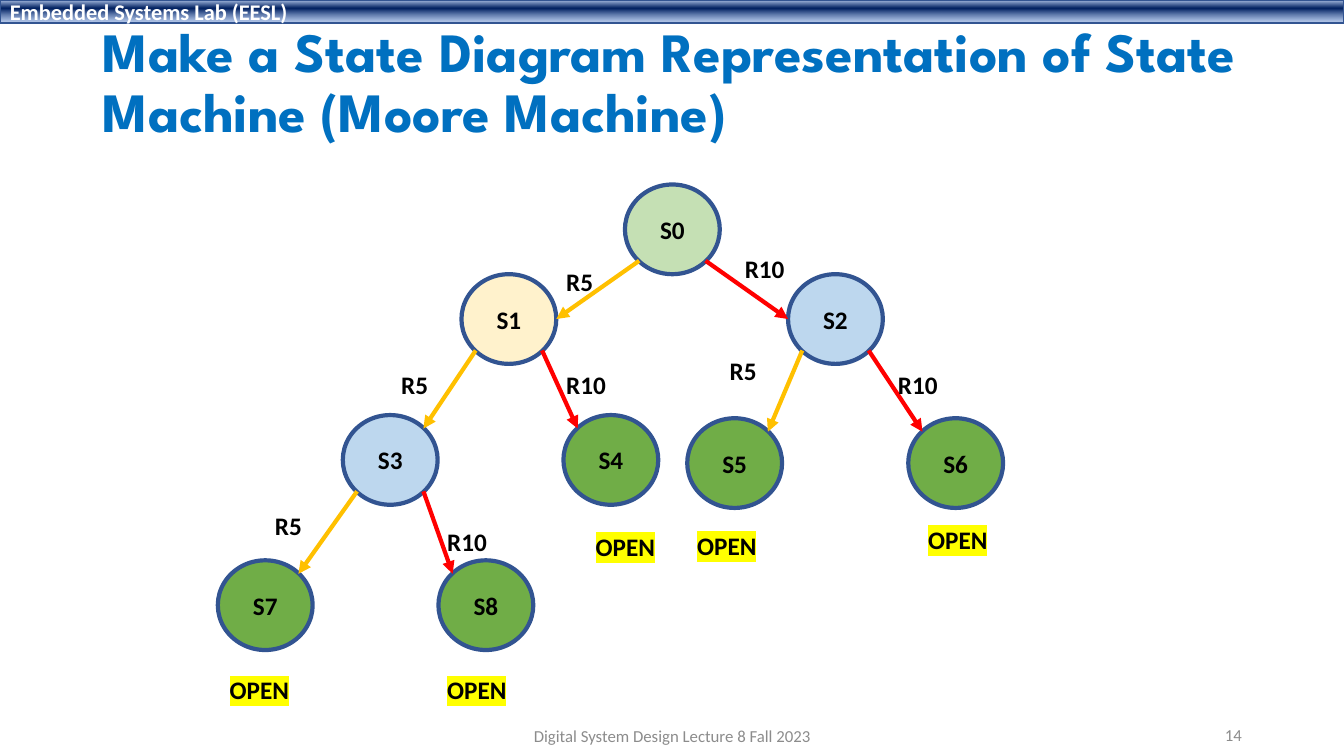
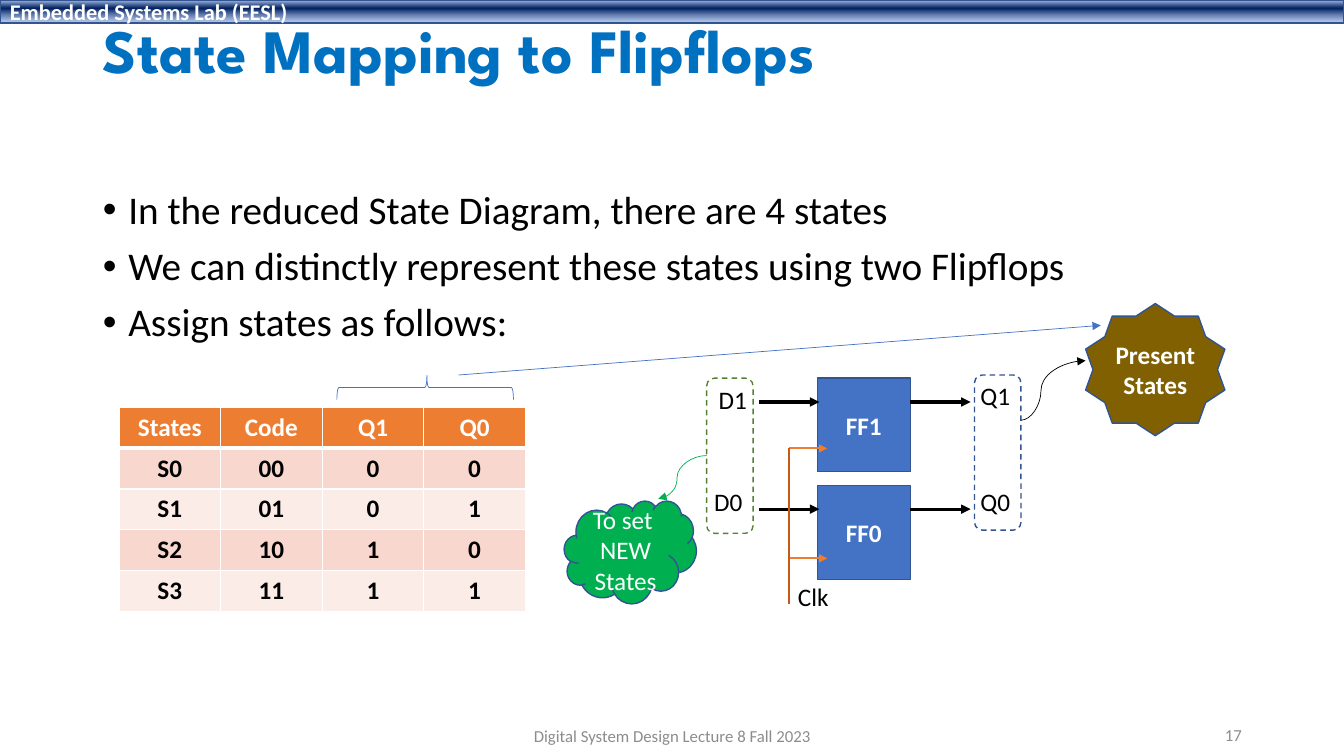
from lxml import etree
from pptx import Presentation
from pptx.dml.color import RGBColor
from pptx.enum.dml import MSO_LINE
from pptx.enum.shapes import MSO_CONNECTOR, MSO_SHAPE
from pptx.enum.text import MSO_ANCHOR, MSO_AUTO_SIZE, PP_ALIGN
from pptx.oxml.ns import qn
from pptx.util import Cm, Pt

LEFT, CENTER, RIGHT = PP_ALIGN.LEFT, PP_ALIGN.CENTER, PP_ALIGN.RIGHT
TOP, MIDDLE = MSO_ANCHOR.TOP, MSO_ANCHOR.MIDDLE
STRAIGHT, CURVE = MSO_CONNECTOR.STRAIGHT, MSO_CONNECTOR.CURVE
RECTANGLE, ROUNDED, OVAL = MSO_SHAPE.RECTANGLE, MSO_SHAPE.ROUNDED_RECTANGLE, MSO_SHAPE.OVAL
BRACE, CLOUD, STAR = MSO_SHAPE.RIGHT_BRACE, MSO_SHAPE.CLOUD, MSO_SHAPE.STAR_10_POINT
DASH = MSO_LINE.DASH
TITLE_AND_BODY, TITLE_ONLY = 1, 5
BODY_FONT, TITLE_FONT = "Calibri", "League Spartan"

COLORS = {
    "black": "000000", "white": "FFFFFF", "title": "0070C0", "footer": "8C8C8C",
    "outline": "325491", "blue": "4472C4", "orange": "ED7D31", "rust": "C55A11",
    "start": "C5E0B4", "cream": "FFF2CC", "sky": "BDD7EE", "open": "70AD47",
    "amber": "FFC000", "red": "FF0000", "highlight": "FFFF00",
    "row odd": "F8D7CE", "row even": "FCECE8",
    "inputs": "548235", "cloud": "00B050", "star": "806000",
    "band edge": "ABC0E4", "band core": "002060", "band foot": "7E9ED6",
}


def rgb(name):
    return RGBColor.from_string(COLORS[name])


def add_color(parent, name, alpha=None):
    color = etree.SubElement(parent, qn("a:srgbClr"), val=COLORS[name])
    if alpha:
        etree.SubElement(color, qn("a:alpha"), val=str(alpha * 1000))


def write(frame, text, size=18, color="black", bold=False, font=BODY_FONT, align=LEFT,
          anchor=TOP, wrap=True, spacing=None, before=0, bullet=None, highlight=None):
    """Fill a text frame, one paragraph for each line of text."""
    frame.word_wrap = wrap
    frame.auto_size = MSO_AUTO_SIZE.NONE
    frame.vertical_anchor = anchor
    for index, line in enumerate(text.split("\n")):
        para = frame.add_paragraph() if index else frame.paragraphs[0]
        para.alignment = align
        para.space_before = Pt(before if index else 0)
        if spacing:
            para.line_spacing = spacing
        if bullet:
            properties = para._p.get_or_add_pPr()
            properties.set("marL", str(Cm(0.64)))
            properties.set("indent", str(-Cm(0.64)))
            etree.SubElement(properties, qn("a:buChar"), char=bullet)
        span = para.add_run()
        span.text = line
        span.font.size, span.font.bold, span.font.name = Pt(size), bold, font
        span.font.color.rgb = rgb(color)
        if highlight:
            mark = etree.Element(qn("a:highlight"))
            add_color(mark, highlight)
            span._r.rPr.find(qn("a:latin")).addprevious(mark)


class LectureDeck:
    """Holds the lecture style and the slide being drawn."""

    def __init__(self):
        self.deck = Presentation()
        self.deck.slide_width, self.deck.slide_height = Cm(33.87), Cm(19.05)
        self.page = None

    def new_page(self, layout, title, number, size=44, height=1.96):
        first = self.page is None
        self.page = self.deck.slides.add_slide(self.deck.slide_layouts[layout])
        if first:
            self.band()
        self.placeholder(self.page.shapes.title, title, 0.38, height, size=size, color="title",
                         bold=True, font=TITLE_FONT, anchor=MIDDLE)
        self.label("Digital System Design Lecture 8 Fall 2023", 11.23, 18.03, 11.43,
                   size=12, color="footer", align=CENTER, anchor=MIDDLE, wrap=True)
        self.label(str(number), 23.93, 18.01, 7.62, size=12, color="footer",
                   align=RIGHT, anchor=MIDDLE, wrap=True)

    def band(self):
        """Draw the top band once and hand it to the master."""
        band = self.shape(RECTANGLE, 0, 0, 33.87, 0.58, text="Embedded Systems Lab (EESL)",
                          size=16, color="white", bold=True, align=LEFT)
        band.fill.gradient()
        band.fill.gradient_angle = 270
        stops = band._element.spPr.find(".//" + qn("a:gsLst"))
        for stop in list(stops):
            stops.remove(stop)
        for position, color, alpha in ((2, "band edge", None), (38, "band core", None),
                                       (93, "band foot", 64)):
            add_color(etree.SubElement(stops, qn("a:gs"), pos=str(position * 1000)), color, alpha)
        self.deck.slide_master.shapes._spTree.insert(2, band._element)

    def placeholder(self, box, text, top, height, **style):
        box.left, box.top, box.width, box.height = Cm(2.34), Cm(top), Cm(29.21), Cm(height)
        write(box.text_frame, text, spacing=0.9, **style)

    def bullets(self, text, top, height):
        self.placeholder(self.page.placeholders[1], text, top, height,
                         size=28, before=10, bullet="•")

    def label(self, text, left, top, width, wrap=False, **style):
        box = self.page.shapes.add_textbox(Cm(left), Cm(top), Cm(width), Cm(1.02))
        write(box.text_frame, text, wrap=wrap, **style)

    def shape(self, kind, left, top, width, height, fill=None, line="outline", weight=1,
              dash=None, text=None, align=CENTER, **style):
        shape = self.page.shapes.add_shape(kind, Cm(left), Cm(top), Cm(width), Cm(height))
        shape.shadow.inherit = False
        if fill:
            shape.fill.solid()
            shape.fill.fore_color.rgb = rgb(fill)
        else:
            shape.fill.background()
        shape.line.color.rgb, shape.line.width = rgb(line), Pt(weight)
        if dash:
            shape.line.dash_style = dash
        if text:
            write(shape.text_frame, text, align=align, anchor=MIDDLE, **style)
        return shape

    def connector(self, start, end, color, weight, kind=STRAIGHT, arrow=True, bend=None):
        line = self.page.shapes.add_connector(kind, *(Cm(value) for value in (*start, *end)))
        line.line.color.rgb, line.line.width = rgb(color), Pt(weight)
        properties = line._element.spPr
        if arrow:
            etree.SubElement(properties.find(qn("a:ln")), qn("a:tailEnd"), type="triangle")
        if bend:
            guides = properties.find(qn("a:prstGeom")).get_or_add_avLst()
            etree.SubElement(guides, qn("a:gd"), name="adj1", fmla=f"val {round(bend * 100000)}")
        etree.SubElement(properties, qn("a:effectLst"))

    def table(self, rows, left, top, column, row_height):
        frame = self.page.shapes.add_table(len(rows), len(rows[0]), Cm(left), Cm(top),
                                           Cm(column * len(rows[0])), Cm(row_height * len(rows)))
        for across in frame.table.columns:
            across.width = Cm(column)
        for r, row in enumerate(rows):
            fill = ("row odd" if r % 2 else "row even") if r else "orange"
            for c, text in enumerate(row):
                cell = frame.table.cell(r, c)
                write(cell.text_frame, text, color="black" if r else "white",
                      bold=True, align=CENTER)
                cell.fill.solid()
                cell.fill.fore_color.rgb = rgb(fill)
                self.borders(cell, top=3 if r == 1 else 1, bottom=1 if r else 3)

    def borders(self, cell, top, bottom):
        properties = cell._tc.get_or_add_tcPr()
        for place, (side, weight) in enumerate(zip("LRTB", (1, 1, top, bottom))):
            edge = etree.Element(qn(f"a:ln{side}"), w=str(Pt(weight)))
            add_color(etree.SubElement(edge, qn("a:solidFill")), "white")
            properties.insert(place, edge)


# State diagram: left and top of each circle, and its fill
STATE_WIDTH, STATE_HEIGHT = 2.39, 2.26
STATES = {
    "S0": (15.75, 4.65, "start"), "S1": (11.63, 6.91, "cream"), "S2": (19.86, 6.91, "sky"),
    "S5": (17.32, 10.54, "open"), "S6": (22.89, 10.54, "open"), "S3": (8.64, 10.46, "sky"),
    "S4": (14.2, 10.46, "open"), "S7": (5.49, 14.12, "open"), "S8": (11.05, 14.12, "open"),
}
# Parent, then child and label place for input R5 and for input R10
BRANCHES = [
    ("S0", ("S1", 14.02, 6.58), ("S2", 18.52, 6.27)),
    ("S1", ("S3", 9.86, 9.17), ("S4", 14.02, 9.17)),
    ("S3", ("S7", 6.68, 12.73), ("S8", 11.02, 13.13)),
    ("S2", ("S5", 18.14, 8.84), ("S6", 22.38, 9.17)),
]
INPUTS = [("R5", "amber", -1, 1.19), ("R10", "red", 1, 1.5)]
OPEN_LABELS = [(5.54, 16.87), (14.76, 13.26), (17.32, 13.23), (11.02, 16.87), (23.14, 13.08)]


def rim(state, across, down):
    """Point on a state's circle; -1, 0 and 1 choose the direction."""
    left, top, _ = STATES[state]
    reach = 0.35 if across and down else 0.5
    return (left + STATE_WIDTH * (0.5 + reach * across),
            top + STATE_HEIGHT * (0.5 + reach * down))


def state_diagram(lecture):
    lecture.new_page(TITLE_ONLY, "Make a State Diagram Representation of State Machine "
                     "(Moore Machine)", 14, size=39.6, height=3.51)
    for name, (left, top, fill) in STATES.items():
        lecture.shape(OVAL, left, top, STATE_WIDTH, STATE_HEIGHT, fill=fill, weight=3,
                      text=name, bold=True)
    for parent, *children in BRANCHES:
        for (child, left, top), (name, color, side, width) in zip(children, INPUTS):
            arrival = 0 if parent == "S0" else -1
            lecture.connector(rim(parent, side, 1), rim(child, -side, arrival), color, 3)
            lecture.label(name, left, top, width, bold=True)
    for left, top in OPEN_LABELS:
        lecture.label("OPEN", left, top, 2.03, bold=True, highlight="highlight")


def state_mapping(lecture):
    lecture.new_page(TITLE_AND_BODY, "State Mapping to Flipflops", 17)
    lecture.bullets("In the reduced State Diagram, there are 4 states\n"
                    "We can distinctly represent these states using two Flipflops\n"
                    "Assign states as follows:", 4.67, 4.45)

    # State codes, with a brace over the two flipflop columns
    codes = [(f"S{n}", f"{n:02b}", *f"{n:02b}") for n in range(4)]
    lecture.table([("States", "Code", "Q1", "Q0"), *codes], 3, 10.26, 2.56, 1.03)
    brace = lecture.shape(BRACE, 10.41, 7.54, 0.61, 4.45, line="blue", weight=0.5)
    brace.rotation = 270
    brace.adjustments[0], brace.adjustments[1] = 0.08, 0.51

    # Flipflops with their data and clock arrows
    clock_x, clock_top = 19.89, 11.3
    for name, top, data_y, clock_y in (("FF1", 9.53, 10.13, clock_top),
                                       ("FF0", 12.24, 12.83, 14.07)):
        lecture.shape(RECTANGLE, 20.6, top, 2.34, 2.36, fill="blue", text=name,
                      color="white", bold=True)
        for start, end in ((19.13, 20.65), (22.94, 24.46)):
            lecture.connector((start, data_y), (end, data_y), "black", 2.25)
        lecture.connector((clock_x, clock_y), (20.85, clock_y), "orange", 1.5)
    lecture.connector((clock_x, clock_top), (clock_x, 15.21), "rust", 1.5, arrow=False)
    for text, left, top in (("Clk", 19.86, 14.53), ("D1", 17.86, 9.55), ("D0", 17.75, 12.14),
                            ("Q1", 24.46, 9.47), ("Q0", 24.46, 12.14)):
        lecture.label(text, left, top, 1.27)

    # Dashed groups and their callouts
    for left, top, line in ((24.56, 9.45, "outline"), (17.81, 9.53, "inputs")):
        lecture.shape(ROUNDED, left, top, 1.17, 3.91, line=line, dash=DASH)
    lecture.connector((25.73, 10.59), (27.36, 9.09), "black", 0.5, kind=CURVE, bend=0.31)
    lecture.connector((17.81, 11.48), (16.59, 12.57), "cloud", 0.5, kind=CURVE, bend=0.61)
    lecture.shape(CLOUD, 14.22, 12.62, 3.33, 2.59, fill="cloud",
                  text="To set \nNEW\nStates", color="white")
    lecture.shape(STAR, 27.36, 7.65, 3.51, 3.33, fill="star", text="Present\nStates",
                  color="white", bold=True)
    lecture.connector((11.56, 9.45), (27.74, 8.2), "blue", 0.5)


def main():
    lecture = LectureDeck()
    state_diagram(lecture)
    state_mapping(lecture)
    lecture.deck.save("out.pptx")


if __name__ == "__main__":
    main()
